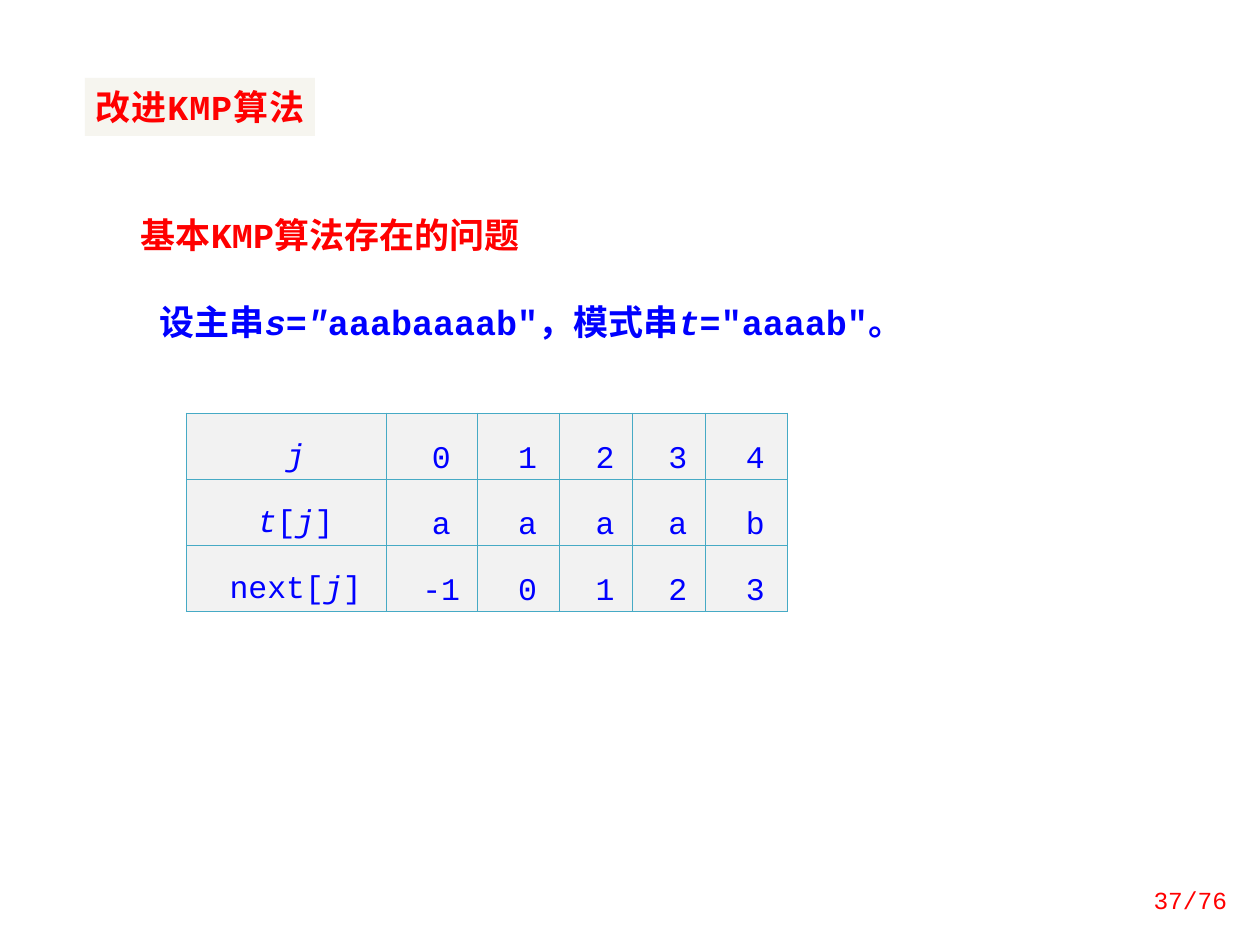
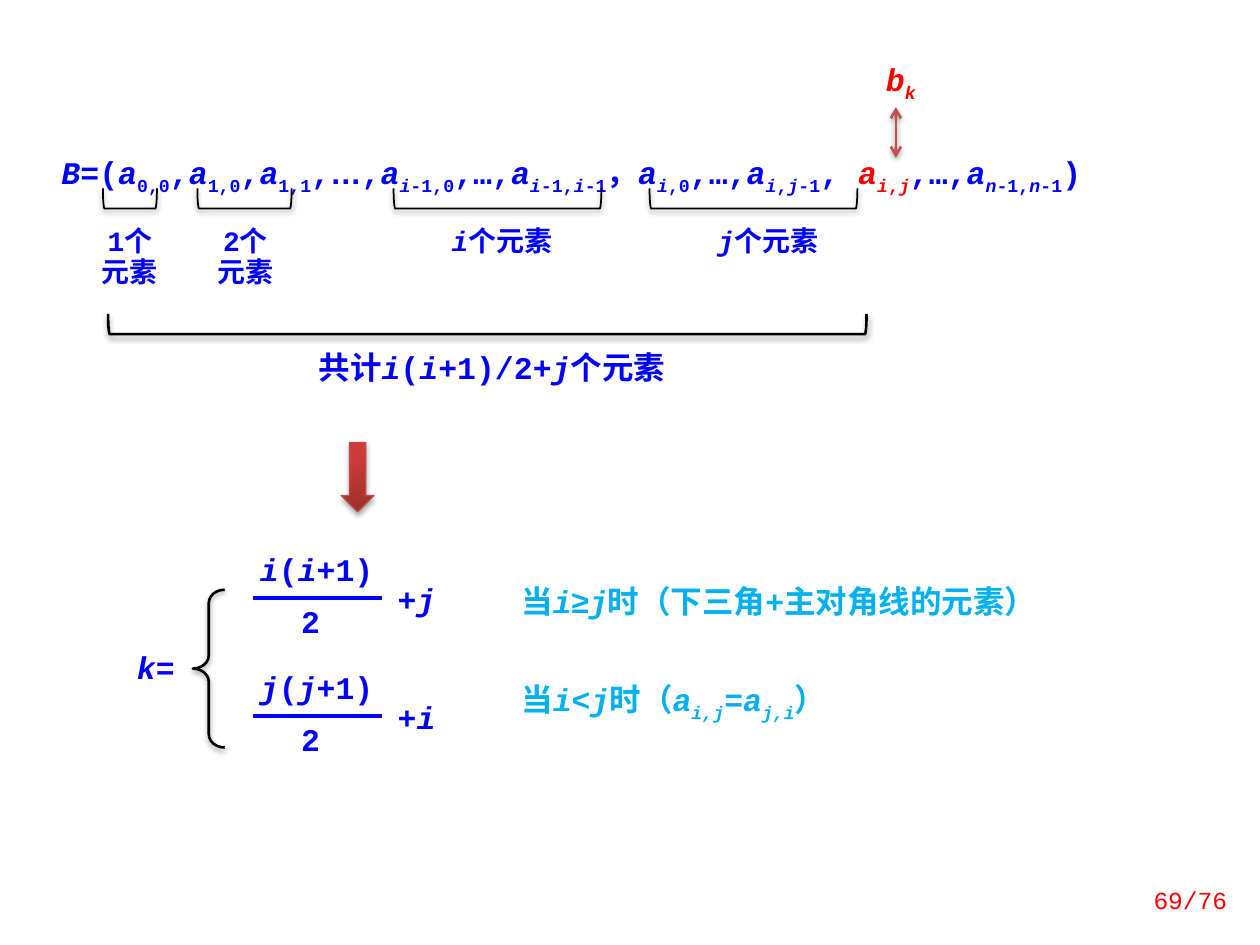
from itertools import groupby

from lxml import etree
from pptx import Presentation
from pptx.dml.color import RGBColor
from pptx.enum import shapes, text
from pptx.oxml import ns
from pptx.util import Cm, Pt

COLORS = {
    "red": "FF0000", "blue": "0000FF", "sky": "00B0F0", "black": "000000",
    "title_band": "EEECE1", "cell": "F2F2F2", "border": "46AAC5",
    "link": "C0504D", "arrow_dark": "9C2F2D", "arrow_light": "CE3B37",
    "arrow_edge": "BF4C48",
}
FONT, SYMBOL_FONT = "Courier New", "Arial"
ITALIC, SUB, SYMBOL, RED = "*", "_", "~", "#"
LEFT, CENTER, RIGHT = text.PP_ALIGN.LEFT, text.PP_ALIGN.CENTER, text.PP_ALIGN.RIGHT
TOP, MIDDLE = text.MSO_ANCHOR.TOP, text.MSO_ANCHOR.MIDDLE


def rgb(name):
    return RGBColor.from_string(COLORS[name])


def child(parent, tag, **attrs):
    return etree.SubElement(parent, ns.qn(tag), {k: str(v) for k, v in attrs.items()})


def styled_chunks(line):
    state, chars = frozenset(), []
    for c in line:
        if c in (ITALIC, SUB, SYMBOL, RED):
            state = state ^ {c}
        else:
            chars.append((state, c))
    for marks, group in groupby(chars, key=lambda item: item[0]):
        yield marks, "".join(c for _, c in group)


def write(tf, content, size=18, color="blue", bold=True, align=LEFT,
          leading=None, half_before=False, indent=0, tracking=0):
    for n, line in enumerate(content.split("\n")):
        p = tf.add_paragraph() if n else tf.paragraphs[0]
        p.alignment = align
        pPr = p._p.get_or_add_pPr()
        if indent:
            pPr.set("marL", "0")
            pPr.set("indent", str(Cm(indent)))
        if leading:
            p.line_spacing = leading
        if half_before:
            child(child(pPr, "a:spcBef"), "a:spcPct", val=50000)
        for marks, chunk in styled_chunks(line):
            r = p.add_run()
            r.text = chunk
            r.font.size = Pt(size)
            r.font.bold = bold
            r.font.italic = ITALIC in marks
            r.font.name = SYMBOL_FONT if SYMBOL in marks else FONT
            r.font.color.rgb = rgb("red" if RED in marks else color)
            if SUB in marks:
                r._r.get_or_add_rPr().set("baseline", "-25000")
            if tracking:
                r._r.get_or_add_rPr().set("spc", str(tracking))


def clear_insets(tf):
    tf.margin_left = tf.margin_right = tf.margin_top = tf.margin_bottom = 0


def add_text(s, x, y, w, h, content, grow=True, inset=True, anchor=TOP, **fmt):
    tf = s.shapes.add_textbox(Cm(x), Cm(y), Cm(w), Cm(h)).text_frame
    tf.word_wrap = True
    tf.vertical_anchor = anchor
    if grow:
        tf.auto_size = text.MSO_AUTO_SIZE.SHAPE_TO_FIT_TEXT
    if not inset:
        clear_insets(tf)
    write(tf, content, **fmt)


def add_math(s, x, y, w, h, content, **fmt):
    add_text(s, x, y, w, h, content, leading=0.8, half_before=True, **fmt)


def set_line(sp, color, width):
    sp.line.color.rgb = rgb(color)
    sp.line.width = Pt(width)


def set_effect(sp, alpha=0, dist=20000):
    effects = child(sp._element.spPr, "a:effectLst")
    if alpha:
        shadow = child(effects, "a:outerShdw", blurRad=40000, dist=dist,
                       dir=5400000, rotWithShape=0)
        child(child(shadow, "a:srgbClr", val=COLORS["black"]),
              "a:alpha", val=alpha * 1000)


def add_line(s, x1, y1, x2, y2, color, width, arrows=False):
    sp = s.shapes.add_connector(shapes.MSO_CONNECTOR.STRAIGHT,
                                Cm(x1), Cm(y1), Cm(x2), Cm(y2))
    set_line(sp, color, width)
    if arrows:
        ln = sp.line._get_or_add_ln()
        child(ln, "a:headEnd", type="arrow")
        child(ln, "a:tailEnd", type="arrow")
    set_effect(sp, 38 if arrows else 0)


def add_outline(s, kind, x, y, w, h, width):
    sp = s.shapes.add_shape(kind, Cm(x), Cm(y), Cm(w), Cm(h))
    sp.fill.background()
    set_line(sp, "black", width)
    set_effect(sp, 38)
    return sp


def add_under_bracket(s, center_x, center_y, span, width):
    depth = 0.41
    sp = add_outline(s, shapes.MSO_SHAPE.LEFT_BRACKET, center_x - depth / 2,
                     center_y - span / 2, depth, span, width)
    sp.rotation = 270


def add_page_number(s, number):
    add_text(s, 22.3, 17.62, 2.69, 1.02, f"{number}/76", grow=False, anchor=MIDDLE,
             size=14, color="red", bold=False, align=RIGHT)


def set_title(s, x, y, w, h, content):
    sp = s.shapes.title
    sp.left, sp.top, sp.width, sp.height = Cm(x), Cm(y), Cm(w), Cm(h)
    sp.fill.solid()
    sp.fill.fore_color.rgb = rgb("title_band")
    child(sp._element.spPr.find(".//" + ns.qn("a:srgbClr")), "a:alpha", val=50000)
    tf = sp.text_frame
    tf.word_wrap = False
    tf.auto_size = text.MSO_AUTO_SIZE.NONE
    tf.vertical_anchor = MIDDLE
    clear_insets(tf)
    write(tf, content, size=20, color="red", align=CENTER, half_before=True, tracking=50)


def format_cell(cell, content, anchor):
    tcPr = cell._tc.get_or_add_tcPr()
    for side in ("a:lnL", "a:lnR", "a:lnT", "a:lnB"):
        ln = child(tcPr, side, w=Pt(0.75))
        child(child(ln, "a:solidFill"), "a:srgbClr", val=COLORS["border"])
    cell.fill.solid()
    cell.fill.fore_color.rgb = rgb("cell")
    cell.margin_left = cell.margin_right = Cm(0.18)
    cell.margin_top = cell.margin_bottom = 0
    cell.vertical_anchor = anchor
    write(cell.text_frame, content, bold=False, align=CENTER, leading=Pt(36),
          half_before=True, indent=0.36)


def add_next_table(s, x, y):
    rows = [
        ["*j*", "0", "1", "2", "3", "4"],
        ["*t*[*j*]", "a", "a", "a", "a", "b"],
        ["next[*j*]", "-1", "0", "1", "2", "3"],
    ]
    widths, row_h = [4.04, 1.83, 1.65, 1.47, 1.47, 1.65], 1.33
    table = s.shapes.add_table(len(rows), len(widths), Cm(x), Cm(y),
                               Cm(sum(widths)), Cm(row_h * len(rows))).table
    table.first_row = table.horz_banding = False
    for column, width in zip(table.columns, widths):
        column.width = Cm(width)
    for i, row in enumerate(rows):
        table.rows[i].height = Cm(row_h)
        for j, content in enumerate(row):
            format_cell(table.cell(i, j), content, MIDDLE if j else TOP)


def add_sequence(s, x, y):
    add_math(s, x, y, 22.63, 0.86,
             "*B*=(*a*_0,0_,*a*_1,0_,*a*_1,1_,~…~,*a_i*-1,0_,…,*a_i*-1,*i*-1_，"
             "*a_i*,0_,…,*a_i*,*j*-1_, #*a_i*,*j*_#,…,*a_n*-1,*n*-1_)")
    for center, span in ((1.63, 1.09), (3.94, 1.9), (9.04, 4.19), (14.2, 4.19)):
        add_under_bracket(s, x + center, y + 0.95, span, 1)
    for dx, w, count in ((0.74, 1.78, 1), (2.97, 1.98, 2)):
        add_text(s, x + dx, y + 1.37, w, 1.55, f"{count}个\n元素",
                 size=16, align=CENTER, leading=Pt(18))
    for dx, index in ((7.34, "i"), (12.7, "j")):
        add_math(s, x + dx, y + 1.47, 3.58, 0.81, f"*{index}*个元素",
                 size=16, align=CENTER)
    add_math(s, x + 16.28, y - 1.88, 1.78, 0.89, "*b_k_*", color="red", align=CENTER)
    add_line(s, x + 17.07, y - 0.89, x + 17.07, y + 0.13, "link", 1.5, arrows=True)


def add_total(s, x, y, w):
    add_under_bracket(s, x + w / 2, y + 0.21, w, 1.5)
    add_math(s, x + 3.76, y + 0.72, 7.95, 0.86,
             "共计*i*(*i*+1)/2+*j*个元素", align=CENTER)


def add_down_arrow(s, x, y, w, h):
    sp = s.shapes.add_shape(shapes.MSO_SHAPE.DOWN_ARROW, Cm(x), Cm(y), Cm(w), Cm(h))
    sp.fill.gradient()
    sp.fill.gradient_angle = 90
    stops = zip(sp.fill.gradient_stops, ("arrow_dark", "arrow_light"), (0, 0.8))
    for stop, color, position in stops:
        stop.color.rgb = rgb(color)
        stop.position = position
    set_line(sp, "arrow_edge", 0.75)
    set_effect(sp, 35, 23000)


def add_fraction(s, x, y, major, minor):
    parts = (
        (0, 0, 2.97, f"*{major}*(*{major}*+1)"),
        (0.66, 1.06, 1.4, "2"),
        (2.8, 0.61, 1.4, f"+*{minor}*"),
    )
    for dx, dy, w, content in parts:
        add_math(s, x + dx, y + dy, w, 0.61, content, inset=False, align=CENTER)
    add_line(s, x + 0.21, y + 0.83, x + 2.8, y + 0.83, "blue", 2.25)


def add_formula(s, x, y):
    add_math(s, x, y + 1.85, 1.7, 0.86, "*k*=")
    brace = add_outline(s, shapes.MSO_SHAPE.LEFT_BRACE, x + 1.38, y + 0.66,
                        0.64, 3.18, 1.5)
    brace.adjustments[0] = 0.417
    for n, (major, minor) in enumerate(("ij", "ji")):
        add_fraction(s, x + 2.39, y + 2.38 * n, major, minor)
    conditions = (
        (0.53, 11.96, "当*i*~≥~*j*时（下三角+主对角线的元素）"),
        (2.44, 7.54, "当*i*<*j*时（*a_i,j_*=*a_j,i_*）"),
    )
    for dy, w, content in conditions:
        add_math(s, x + 7.75, y + dy, w, 0.86, content, color="sky")


def build_kmp_slide(prs):
    s = prs.slides.add_slide(prs.slide_layouts.get_by_name("Title Only"))
    set_title(s, 1.71, 1.57, 4.64, 1.17, "改进KMP算法")
    add_text(s, 2.97, 5.94, 16.87, 1.12,
             '设主串*s*=*"*aaabaaaab"，模式串*t*="aaaab"。', size=20)
    add_text(s, 2.59, 4.17, 9.73, 1.12, "基本KMP算法存在的问题", size=20, color="red")
    add_next_table(s, 3.76, 8.33)
    add_page_number(s, 37)


def build_symmetric_matrix_slide(prs):
    s = prs.slides.add_slide(prs.slide_layouts.get_by_name("Blank"))
    add_formula(s, 2.51, 11.23)
    add_down_arrow(s, 6.88, 8.92, 0.66, 1.4)
    add_sequence(s, 0.99, 3.05)
    add_total(s, 2.18, 6.32, 15.29)
    add_page_number(s, 69)


def main():
    prs = Presentation()
    prs.slide_width, prs.slide_height = Cm(25.4), Cm(19.05)
    build_kmp_slide(prs)
    build_symmetric_matrix_slide(prs)
    prs.save("out.pptx")


if __name__ == "__main__":
    main()
